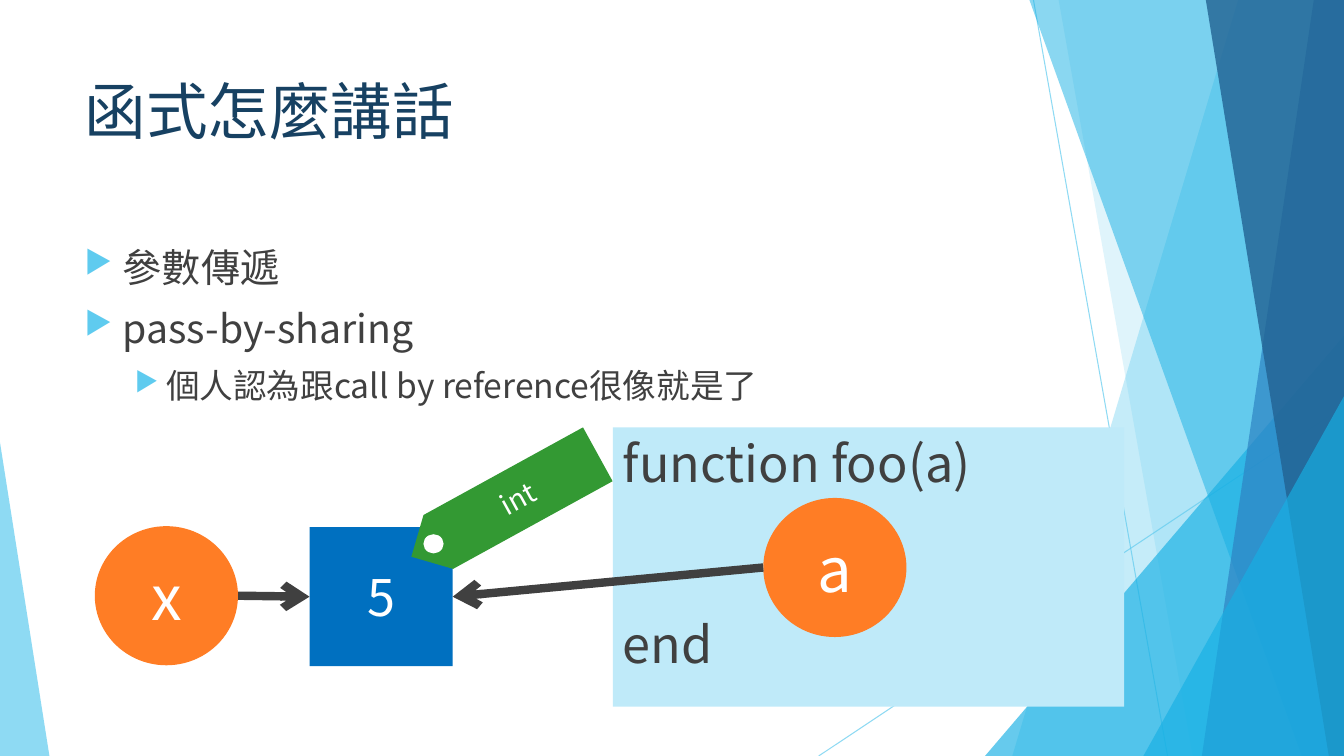
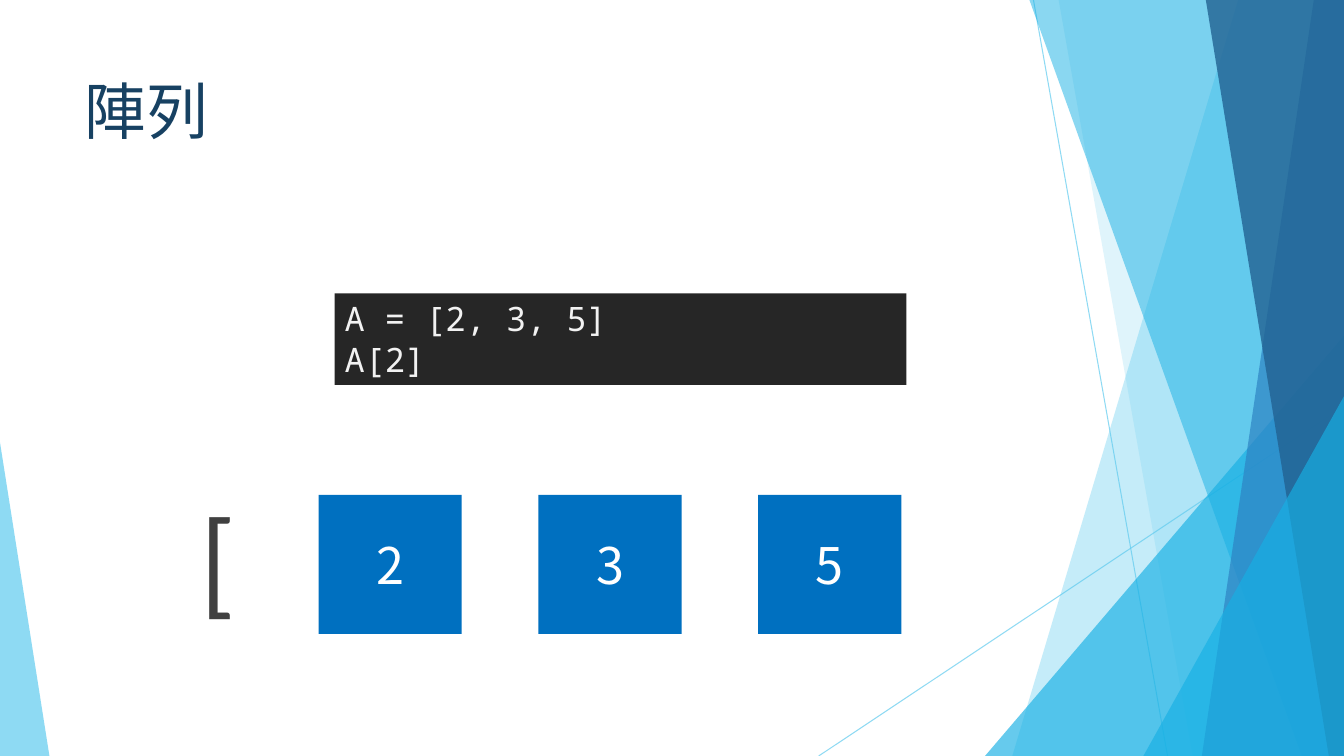
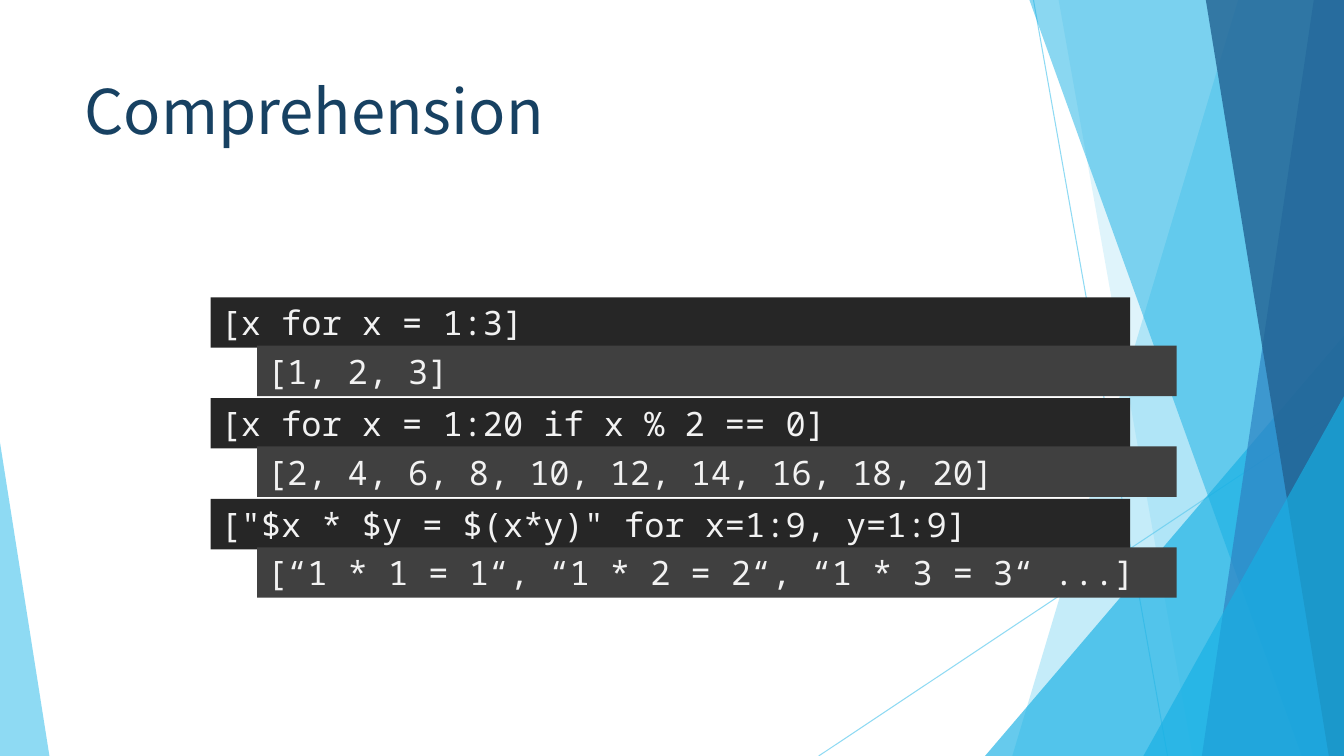
"""Builds three slides about functions, arrays and comprehensions."""
from lxml.etree import SubElement
from pptx import Presentation
from pptx.dml.color import RGBColor
from pptx.enum.shapes import MSO_CONNECTOR, MSO_SHAPE as SHAPE
from pptx.enum.text import MSO_ANCHOR as ANCHOR, PP_ALIGN as ALIGN
from pptx.oxml.ns import qn
from pptx.util import Inches, Pt

WIDTH, HEIGHT = 13.33, 7.5
SANS, MONO, BRACKET = "Noto Sans CJK TC", "Noto Sans Mono", "Lato"
COLORS = {
    "sky": "5FCBEF", "cyan": "17B0E4", "blue": "2E83C3", "navy": "226292",
    "title": "174162", "text": "404040", "white": "FFFFFF", "value": "0070C0",
    "variable": "FF7D25", "type": "339933", "function": "BFEAF9",
    "code": "262626", "result": "404040", "code_text": "F2F2F2",
}
THIN_LINES = [((10.25, 0), (11.58, HEIGHT)), ((WIDTH, 4.03), (8.12, HEIGHT))]
BACK_BANDS = [(12.28, 10.04, "sky", 36), (10.5, 11.83, "sky", 20)]
FRONT_BANDS = [(10.21, 12.91, "cyan", 50), (13.03, 11.92, "blue", 70),
               (11.96, 13.18, "navy", 80)]
NODE = (1.42, 1.38)


class Deck:
    """Holds the shared style and the current slide."""

    def __init__(self):
        self.prs = Presentation()
        self.prs.slide_width, self.prs.slide_height = Inches(WIDTH), Inches(HEIGHT)
        self.slide = None

    def start(self, title):
        self.slide = self.prs.slides.add_slide(self.prs.slide_layouts[6])
        for start, end in THIN_LINES:
            self.line(start, end, "sky", 0.75, alpha=70)
        for band in BACK_BANDS:
            self.band(*band)
        self.triangle(9.77, 3.33, 3.56, "cyan", 66, 1)
        for band in FRONT_BANDS:
            self.band(*band)
        self.triangle(11.34, 3.93, 1.99, "cyan", 66, 1)
        self.triangle(0, 4.39, 0.49, "sky", 70, 0)
        self.text((0.74, 0.67, 9.4, 1.44), [title], 44, "title")

    def color(self, name):
        return RGBColor.from_string(COLORS[name])

    def fade(self, element, alpha):
        if alpha < 100:
            tint = element.spPr.find(".//" + qn("a:srgbClr"))
            SubElement(tint, qn("a:alpha"), val=str(alpha * 1000))

    def paint(self, shape, fill, alpha=100):
        shape.shadow.inherit = False
        shape.fill.solid()
        shape.fill.fore_color.rgb = self.color(fill)
        shape.line.fill.background()
        self.fade(shape._element, alpha)

    def band(self, top_x, bottom_x, fill, alpha):
        corners = [(top_x, 0), (WIDTH, 0), (WIDTH, HEIGHT), (bottom_x, HEIGHT)]
        points = [(Inches(x), Inches(y)) for x, y in corners]
        outline = self.slide.shapes.build_freeform(*points[0], scale=1.0)
        outline.add_line_segments(points[1:], close=True)
        self.paint(outline.convert_to_shape(), fill, alpha)

    def triangle(self, left, top, width, fill, alpha, peak):
        box = (left, top, width, HEIGHT - top)
        self.shape(SHAPE.ISOSCELES_TRIANGLE, box, fill, alpha).adjustments[0] = peak

    def shape(self, kind, box, fill, alpha=100, rotation=0):
        shape = self.slide.shapes.add_shape(kind, *map(Inches, box))
        self.paint(shape, fill, alpha)
        shape.rotation = rotation
        return shape

    def line(self, start, end, color, width, alpha=100, arrow=False):
        line = self.slide.shapes.add_connector(
            MSO_CONNECTOR.STRAIGHT, *map(Inches, start + end))
        line.line.color.rgb = self.color(color)
        line.line.width = Pt(width)
        self.fade(line._element, alpha)
        props = line._element.spPr
        if arrow:
            SubElement(props.find(qn("a:ln")), qn("a:tailEnd"), type="arrow")
        SubElement(props, qn("a:effectLst"))

    def typeset(self, shape, lines, size, color, font=SANS,
                align=ALIGN.LEFT, anchor=ANCHOR.TOP):
        frame = shape.text_frame
        frame.word_wrap = True
        frame.vertical_anchor = anchor
        frame.text = "\n".join(lines)
        for paragraph in frame.paragraphs:
            paragraph.alignment = align
            for run in paragraph.runs:
                run.font.size = Pt(size)
                run.font.color.rgb = self.color(color)
                run.font.name = font
                SubElement(run._r.get_or_add_rPr(), qn("a:ea"), typeface=font)
        return frame.paragraphs

    def text(self, box, lines, size, color, font=SANS):
        holder = self.slide.shapes.add_textbox(*map(Inches, box))
        return self.typeset(holder, lines, size, color, font)

    def bullets(self, box, items):
        paragraphs = self.text(box, [item for item, _ in items], 28, "text")
        for paragraph, (_, level) in zip(paragraphs, items):
            paragraph.level = level
            paragraph.space_before = Pt(10)
            paragraph.runs[0].font.size = Pt(28 - 4 * level)
            margin, hang = [(0.38, 0.38), (0.81, 0.31)][level]
            props = paragraph._p.get_or_add_pPr()
            props.set("marL", str(Inches(margin)))
            props.set("indent", str(-Inches(hang)))
            tint = SubElement(props, qn("a:buClr"))
            SubElement(tint, qn("a:srgbClr"), val=COLORS["sky"])
            SubElement(props, qn("a:buSzPct"), val="80000")
            SubElement(props, qn("a:buChar"), char="▶")

    def label(self, shape, caption, size):
        self.typeset(shape, [caption], size, "white",
                     align=ALIGN.CENTER, anchor=ANCHOR.MIDDLE)

    def variable(self, left, top, name):
        self.label(self.shape(SHAPE.OVAL, (left, top, *NODE), "variable"), name, 44)

    def value(self, left, top, number):
        self.label(self.shape(SHAPE.RECTANGLE, (left, top, *NODE), "value"), number, 36)

    def type_tag(self, name):
        tag = self.shape(SHAPE.LEFT_ARROW, (3.95, 4.71, 2.11, 0.61), "type",
                         rotation=331.2)
        tag.adjustments[0], tag.adjustments[1] = 1, 0.5
        self.label(tag, name, 20)
        self.shape(SHAPE.OVAL, (4.2, 5.3, 0.2, 0.19), "white")

    def code(self, box, lines, fill="code"):
        self.typeset(self.shape(SHAPE.RECTANGLE, box, fill), lines, 24, "code_text", MONO)


def sharing_slide(deck):
    deck.start("函式怎麼講話")
    deck.bullets((0.74, 2.36, 9.4, 4.24), [
        ("參數傳遞", 0), ("pass-by-sharing", 0),
        ("個人認為跟call by reference很像就是了", 1)])
    deck.value(3.07, 5.23, "5")
    deck.line((2.36, 5.91), (3.07, 5.92), "text", 6, arrow=True)
    deck.variable(0.94, 5.22, "x")
    deck.type_tag("int")
    function_box = deck.shape(SHAPE.RECTANGLE, (6.08, 4.24, 5.07, 2.77), "function")
    _, end = deck.typeset(function_box, ["function foo(a)", "end"], 36, "text")
    end.space_before = Pt(86)
    deck.variable(7.57, 4.94, "a")
    deck.line((7.57, 5.63), (4.49, 5.92), "text", 6, arrow=True)


def array_slide(deck):
    deck.start("陣列")
    deck.code((3.32, 2.91, 5.67, 0.91), ["A = [2, 3, 5]", "A[2]"])
    deck.text((1.88, 4.83, 1, 1.45), ["["], 80, "text", BRACKET)
    for index, number in enumerate("235"):
        deck.value(3.16 + 2.18 * index, 4.91, number)


def comprehension_slide(deck):
    deck.start("Comprehension")
    examples = [
        ("[x for x = 1:3]", "[1, 2, 3]"),
        ("[x for x = 1:20 if x % 2 == 0]", "[2, 4, 6, 8, 10, 12, 14, 16, 18, 20]"),
        ('["$x * $y = $(x*y)" for x=1:9, y=1:9]',
         "[“1 * 1 = 1“, “1 * 2 = 2“, “1 * 3 = 3“ ...]"),
    ]
    columns = zip(*examples)
    for (left, top, fill), column in zip(
            [(2.09, 2.95, "code"), (2.55, 3.43, "result")], columns):
        for row, expression in enumerate(column):
            deck.code((left, top + row, 9.12, 0.5), [expression], fill)


deck = Deck()
for build in (sharing_slide, array_slide, comprehension_slide):
    build(deck)
deck.prs.save("out.pptx")
